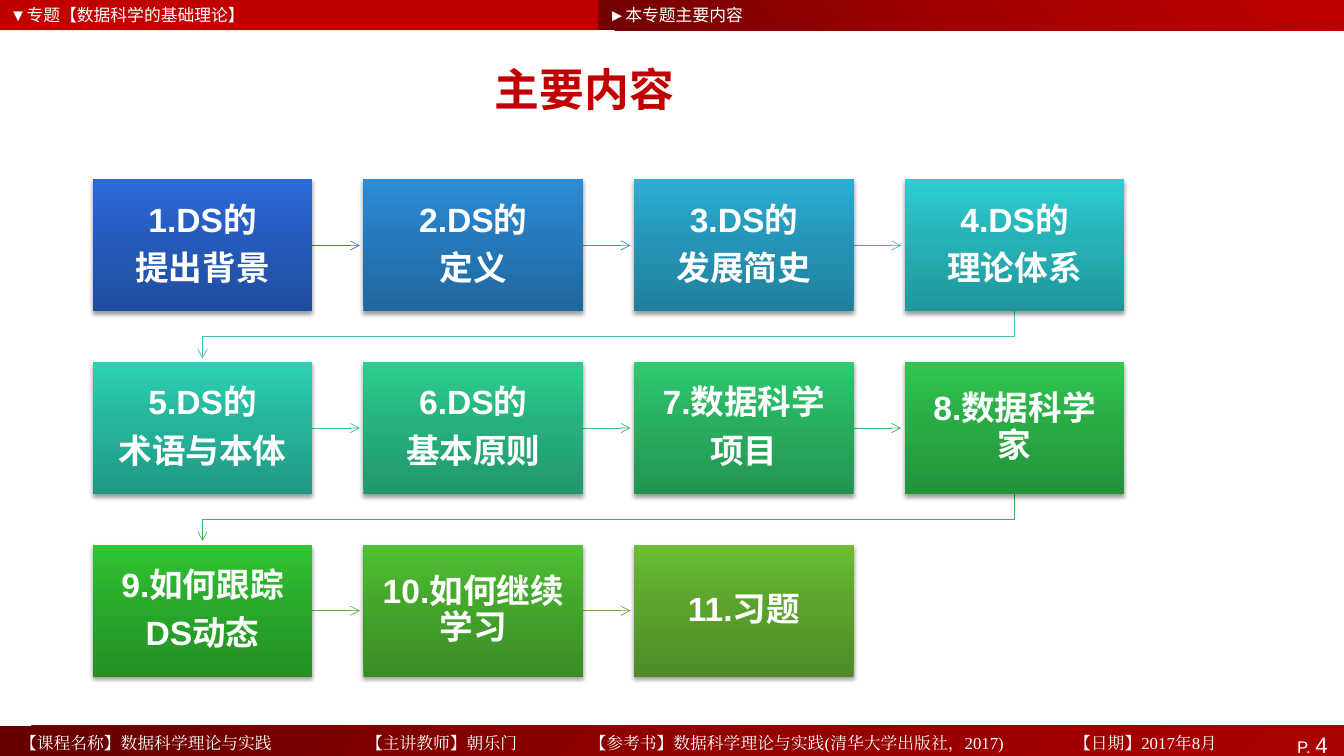
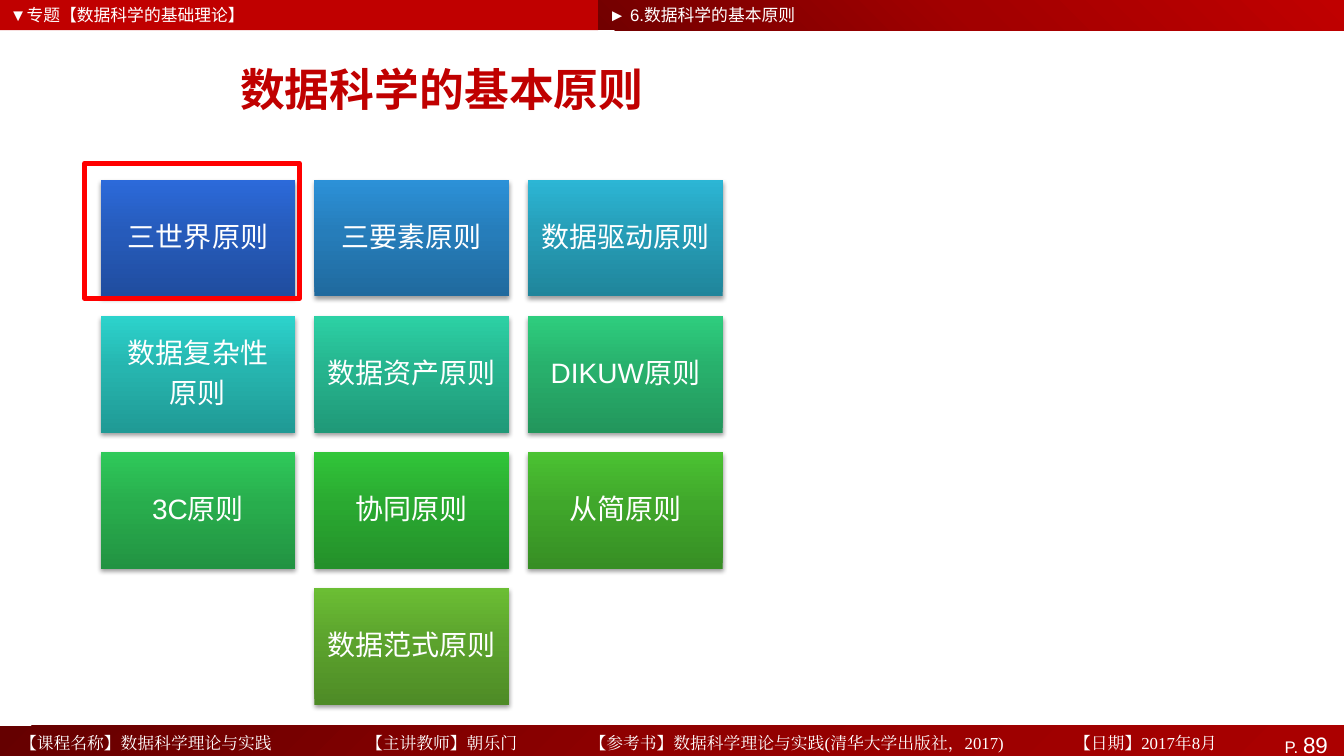
import pptx
import pptx.dml.color
import pptx.enum.shapes
import pptx.enum.text
import pptx.oxml
import pptx.oxml.ns
import pptx.util
from lxml import etree

NAMESPACE = pptx.oxml.ns.nsdecls("a")
ALIGN = pptx.enum.text.PP_ALIGN
ANCHOR = pptx.enum.text.MSO_ANCHOR
RECTANGLE = pptx.enum.shapes.MSO_SHAPE.RECTANGLE
STRAIGHT = pptx.enum.shapes.MSO_CONNECTOR.STRAIGHT

TOPIC = "▼专题【数据科学的基础理论】"
FOOTERS = [
    (1.2, "【课程名称】数据科学理论与实践"),
    (42.4, "【主讲教师】朝乐门"),
    (69, "【参考书】数据科学理论与实践(清华大学出版社，2017)"),
    (126.7, "【日期】2017年8月"),
]
CONTENTS = [
    (["1.DS的", "提出背景"], "2C6ADA", "4472C4"),
    (["2.DS的", "定义"], "2C8DD8", "448EC2"),
    (["3.DS的", "发展简史"], "2CAED6", "43A9C0"),
    (["4.DS的", "理论体系"], "2CCFD4", "43BEB9"),
    (["5.DS的", "术语与本体"], "2CD2B4", "43BC9C"),
    (["6.DS的", "基本原则"], "2DCF91", "44B97F"),
    (["7.数据科学", "项目"], "2ECB70", "45B664"),
    (["8.数据科学家"], "30C850", "45B34B"),
    (["9.如何跟踪", "DS动态"], "31C532", "59B046"),
    (["10.如何继续学习"], "4FC132", "70AD47"),
    (["11.习题"], "6BBE34", None),
]
PRINCIPLES = [
    (["三世界原则"], "2C6ADA", 0, 0),
    (["三要素原则"], "2C91D8", 1, 0),
    (["数据驱动原则"], "2CB6D5", 2, 0),
    (["数据复杂性", "原则"], "2CD3CC", 0, 1),
    (["数据资产原则"], "2CD1A5", 1, 1),
    (["DIKUW原则"], "2ECD7E", 2, 1),
    (["3C原则"], "2FC95A", 0, 2),
    (["协同原则"], "31C539", 1, 2),
    (["从简原则"], "4BC232", 2, 2),
    (["数据范式原则"], "6BBE34", 1, 3),
]


def color(value):
    return pptx.dml.color.RGBColor.from_string(value)


def shade(value, factor):
    return "".join(f"{round(int(value[i:i + 2], 16) * factor):02X}" for i in (0, 2, 4))


class Deck:
    """Draws styled elements on a grid of 160 columns by 90 rows."""

    RED = "C00000"
    WHITE = "FFFFFF"
    SANS = "Arial"
    SERIF = "Times New Roman"
    HEADING = "Noto Sans CJK SC"
    UNIT = pptx.util.Inches(1) / 12

    def __init__(self):
        self.deck = pptx.Presentation()
        self.deck.slide_width, self.deck.slide_height = self.grid(160, 90)
        self.page = None

    def grid(self, *lengths):
        return [pptx.util.Emu(round(length * self.UNIT)) for length in lengths]

    def add_span(self, para, text, size, font, value, bold=False):
        span = para.add_run()
        span.text = text
        span.font.size = pptx.util.Pt(size)
        span.font.name = font
        span.font.bold = bold
        span.font.color.rgb = color(value)
        latin = span.font._element.find(pptx.oxml.ns.qn("a:latin"))
        latin.addnext(pptx.oxml.parse_xml(f'<a:ea {NAMESPACE} typeface="{font}"/>'))

    def add_text(self, area, text, size=12, font=SANS, value=WHITE, bold=False,
                 align=ALIGN.LEFT, anchor=ANCHOR.TOP):
        box = self.page.shapes.add_textbox(*self.grid(*area))
        box.text_frame.word_wrap = True
        box.text_frame.vertical_anchor = anchor
        para = box.text_frame.paragraphs[0]
        para.alignment = align
        self.add_span(para, text, size, font, value, bold)

    def add_box(self, area):
        box = self.page.shapes.add_shape(RECTANGLE, *self.grid(*area))
        box.shadow.inherit = False
        box.line.fill.background()
        return box

    def add_gradient(self, box, stops, angle):
        box.fill.gradient()
        box.fill.gradient_angle = angle
        stop_list = box._element.spPr.find(".//" + pptx.oxml.ns.qn("a:gsLst"))
        for old in list(stop_list):
            stop_list.remove(old)
        for position, value in stops:
            stop_list.append(pptx.oxml.parse_xml(
                f'<a:gs {NAMESPACE} pos="{position * 1000}"><a:srgbClr val="{value}"/></a:gs>'))

    def add_page(self, heading, title, title_width, number):
        self.page = self.deck.slides.add_slide(self.deck.slide_layouts[6])
        topic_band = self.add_box((0, 0, 71.2, 3.6))
        topic_band.fill.solid()
        topic_band.fill.fore_color.rgb = color(self.RED)
        heading_band = self.add_box((71.2, 0, 88.8, 3.6))
        self.add_gradient(heading_band, [(0, "720000"), (50, "A20000"), (100, self.RED)], 45)
        self.add_text((0, 0, 58, 3.5), TOPIC)
        self.add_text((71.3, 0, 28.6, 3.5), heading)
        self.add_footer(number)
        self.add_text((5.28, 5.16, title_width, 10.8), title, 32, self.HEADING,
                      self.RED, True, ALIGN.CENTER, ANCHOR.MIDDLE)

    def add_footer(self, number):
        band = self.add_box((0, 86.4, 160, 3.6))
        self.add_gradient(band, [(0, "650000"), (50, "900000"), (100, "AB0000")], 315)
        band.text_frame.vertical_anchor = ANCHOR.TOP
        para = band.text_frame.paragraphs[0]
        para.alignment = ALIGN.RIGHT
        self.add_span(para, "P. ", 12, self.SANS, self.WHITE)
        self.add_span(para, f"{number} ", 16, self.SANS, self.WHITE)
        ends = [left for left, _ in FOOTERS[1:]] + [152]
        for (left, text), end in zip(FOOTERS, ends):
            self.add_text((left, 86.64, end - left, 3.36), text, font=self.SERIF)

    def add_tile(self, area, lines, value, size, inset, bold=False):
        box = self.add_box(area)
        self.add_gradient(box, [(0, shade(value, 0.73)), (55, shade(value, 0.86)), (100, value)], 90)
        effects = box._element.spPr.find(pptx.oxml.ns.qn("a:effectLst"))
        effects.append(pptx.oxml.parse_xml(
            f'<a:outerShdw {NAMESPACE} blurRad="40000" dist="25400" dir="5400000" rotWithShape="0">'
            '<a:srgbClr val="000000"><a:alpha val="38000"/></a:srgbClr></a:outerShdw>'))
        frame = box.text_frame
        frame.word_wrap = True
        frame.vertical_anchor = ANCHOR.MIDDLE
        frame.margin_left = frame.margin_right = pptx.util.Inches(inset)
        frame.margin_top = frame.margin_bottom = pptx.util.Inches(inset)
        for index, text in enumerate(lines):
            para = frame.add_paragraph() if index else frame.paragraphs[0]
            para.alignment = ALIGN.CENTER
            para.line_spacing = 0.9
            para.space_after = pptx.util.Pt(0.35 * size)
            self.add_span(para, text, size, self.SANS, self.WHITE, bold)

    def style_arrow(self, shape, value):
        shape.line.color.rgb = color(value)
        shape.line.width = pptx.util.Pt(0.5)
        line = shape._element.spPr.find(pptx.oxml.ns.qn("a:ln"))
        etree.SubElement(line, pptx.oxml.ns.qn("a:tailEnd"), type="arrow")

    def add_arrow(self, start, end, value):
        arrow = self.page.shapes.add_connector(STRAIGHT, *self.grid(*start, *end))
        self.style_arrow(arrow, value)
        etree.SubElement(arrow._element.spPr, pptx.oxml.ns.qn("a:effectLst"))

    def add_bent_arrow(self, points, value):
        start, *others = [self.grid(*point) for point in points]
        builder = self.page.shapes.build_freeform(*start)
        builder.add_line_segments(others, close=False)
        arrow = builder.convert_to_shape()
        arrow.shadow.inherit = False
        arrow.fill.background()
        self.style_arrow(arrow, value)

    def add_frame(self, area, value, width):
        box = self.add_box(area)
        box.fill.background()
        box.line.color.rgb = color(value)
        box.line.width = pptx.util.Pt(width)
        line = box._element.spPr.find(pptx.oxml.ns.qn("a:ln"))
        etree.SubElement(line, pptx.oxml.ns.qn("a:round"))


def add_contents(deck):
    deck.add_page("►本专题主要内容", "主要内容", 128.64, 4)
    first_left, width, height = 11.04, 26.16, 15.72
    for index, (lines, fill, arrow) in enumerate(CONTENTS):
        row, column = divmod(index, 4)
        left, top = first_left + 32.22 * column, 21.36 + 21.74 * row
        if arrow and column < 3:
            middle = top + height / 2
            deck.add_arrow((left + width, middle), (left + width + 5.64, middle), arrow)
        elif arrow:
            start, end, bottom = left + width / 2, first_left + width / 2, top + height
            deck.add_bent_arrow([(start, bottom), (start, bottom + 3),
                                 (end, bottom + 3), (end, bottom + 5.6)], arrow)
        deck.add_tile((left, top, width, height), lines, fill, 24, 0.19, True)


def add_principles(deck):
    deck.add_page("► 6.数据科学的基本原则", "数据科学的基本原则", 94.68, 89)
    for lines, fill, column, row in PRINCIPLES:
        area = (12 + 25.44 * column, 21.4 + 16.2 * row, 23.16, 13.9)
        deck.add_tile(area, lines, fill, 20, 0.08)
    deck.add_frame((10.08, 19.44, 25.56, 16.08), "FF0000", 3.78)


def main():
    deck = Deck()
    add_contents(deck)
    add_principles(deck)
    deck.deck.save("out.pptx")


if __name__ == "__main__":
    main()
